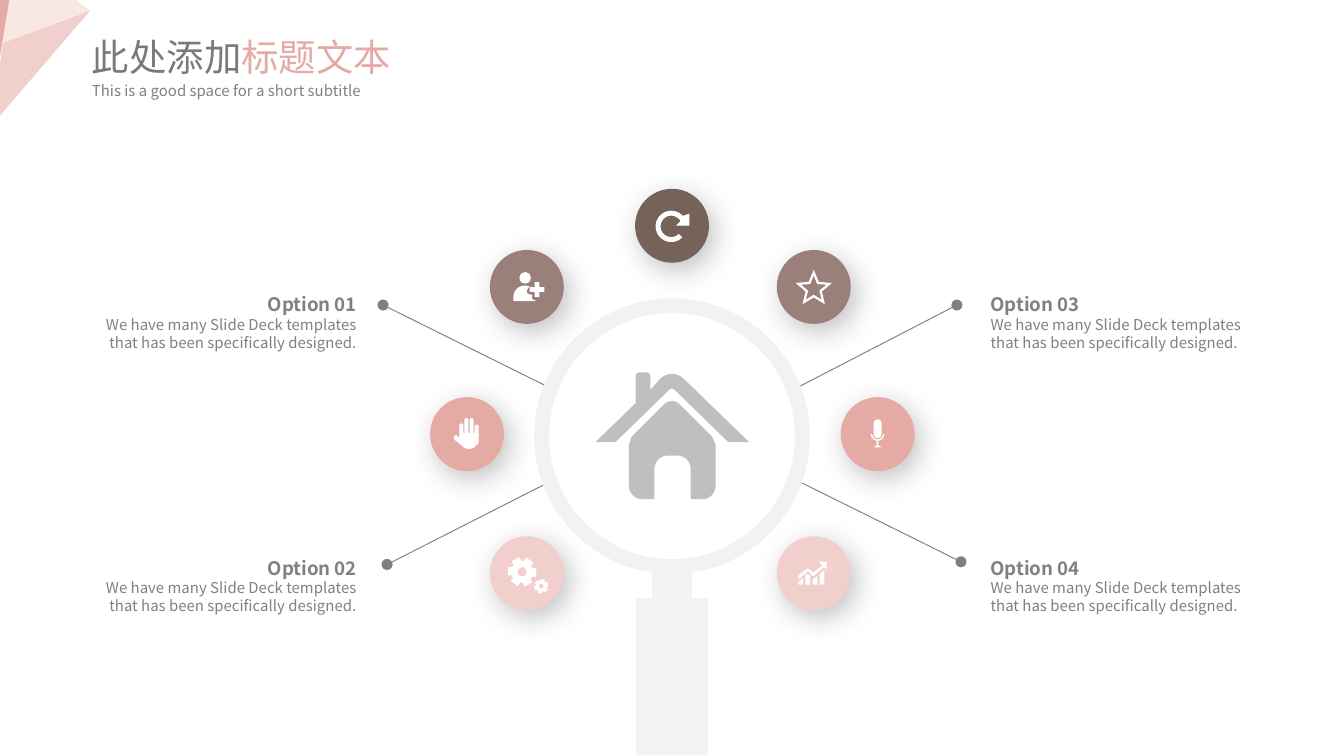
from dataclasses import dataclass
from math import cos, radians, sin
from typing import NamedTuple

from lxml.etree import SubElement
from pptx import Presentation
from pptx.dml.color import RGBColor
from pptx.enum.shapes import MSO_CONNECTOR as Line, MSO_SHAPE as Preset
from pptx.enum.text import MSO_AUTO_SIZE as Fit, PP_ALIGN as Align
from pptx.oxml.ns import qn
from pptx.util import Emu, Pt

Point = tuple[float, float]
Contour = list[Point]


@dataclass(frozen=True)
class Theme:
    """Colours, font and type sizes of the slide."""
    rose: str = "E5AAA4"
    blush: str = "F1CFCD"
    cream: str = "F9E7E3"
    mauve: str = "9B7F7B"
    brown: str = "756359"
    white: str = "FFFFFF"
    pale: str = "F2F2F2"
    silver: str = "BFBFBF"
    grey: str = "808080"
    title_grey: str = "7A7A7A"
    shade: str = "333333"
    font: str = "Noto Sans CJK SC"
    title: int = 20
    heading: int = 10
    body: int = 8


class Box(NamedTuple):
    """Left, top, width and height in grid columns and rows."""
    left: float
    top: float
    width: float
    height: float


class Run(NamedTuple):
    """A piece of text in one style."""
    text: str
    size: int
    colour: str
    bold: bool = False


class Badge(NamedTuple):
    """A round icon holder around the magnifier."""
    x: float
    y: float
    colour: str


class Option(NamedTuple):
    """A labelled option with its leader line from dot to ring."""
    number: str
    left: float
    top: float
    align: Align
    dot: Point
    ring: Point


THEME = Theme()
COLUMNS = 100
BADGE_SIZE = 5.5
BLURB = "We have many Slide Deck templates that has been specifically designed."

deck = Presentation()
deck.slide_width, deck.slide_height = Emu(9144000), Emu(5143500)
slide = deck.slides.add_slide(deck.slide_layouts[6])
shapes = slide.shapes
CELL = deck.slide_width // COLUMNS


def grid(*values: float) -> list[Emu]:
    """Turn grid units into slide lengths."""
    return [Emu(round(value * CELL)) for value in values]


def paint(shape, colour: str) -> None:
    """Give a shape a flat fill with no line or shadow."""
    shape.shadow.inherit = False
    shape.fill.solid()
    shape.fill.fore_color.rgb = RGBColor.from_string(colour)
    shape.line.fill.background()


def preset(kind: Preset, box: Box, colour: str, adjust: float | None = None):
    """Draw a preset shape on the grid."""
    shape = shapes.add_shape(kind, *grid(*box))
    if adjust is not None:
        shape.adjustments[0] = adjust
    paint(shape, colour)
    return shape


def outline(colour: str, *contours: Contour) -> None:
    """Draw closed contours as one shape; a second contour cuts a hole."""
    builder = shapes.build_freeform(*grid(*contours[0][0]))
    for index, contour in enumerate(contours):
        if index:
            builder.move_to(*grid(*contour[0]))
        builder.add_line_segments([tuple(grid(*point)) for point in contour[1:]], close=True)
    paint(builder.convert_to_shape(), colour)


def polar(x: float, y: float, radius: float, angle: float) -> Point:
    """Find a point at a clockwise angle from the right."""
    return x + radius * cos(radians(angle)), y + radius * sin(radians(angle))


def arc(x: float, y: float, radius: float, start: float, end: float, steps: int = 16) -> Contour:
    """List points along a circular arc."""
    return [polar(x, y, radius, start + (end - start) * i / steps) for i in range(steps + 1)]


def star(x: float, y: float, tip: float, notch: float) -> Contour:
    """List the corners of a five-pointed star."""
    return [polar(x, y, notch if i % 2 else tip, 36 * i - 90) for i in range(10)]


def gear(x: float, y: float, tip: float, turn: float) -> None:
    """Draw a six-toothed gear with a round hole."""
    tooth = ((0.74, -23), (1, -17), (1, 17), (0.74, 23))
    teeth = [polar(x, y, tip * share, turn + 60 * i + angle)
             for i in range(6) for share, angle in tooth]
    outline(THEME.white, teeth, arc(x, y, tip * 0.31, 0, 360))


def badge(item: Badge) -> None:
    """Draw a circle with a soft shadow."""
    box = Box(item.x - BADGE_SIZE / 2, item.y - BADGE_SIZE / 2, BADGE_SIZE, BADGE_SIZE)
    circle = preset(Preset.OVAL, box, item.colour)
    effects = circle._element.spPr.find(qn("a:effectLst"))
    shadow = SubElement(effects, qn("a:outerShdw"), blurRad=str(Pt(15)), dist=str(Pt(5)),
                        dir=str(55 * 60000), algn="tl", rotWithShape="0")
    shade = SubElement(shadow, qn("a:srgbClr"), val=THEME.shade)
    SubElement(shade, qn("a:alpha"), val="30000")


def leader(dot: Point, ring: Point) -> None:
    """Draw a thin line that starts with a dot."""
    line = shapes.add_connector(Line.STRAIGHT, *grid(*dot, *ring))
    line.line.color.rgb = RGBColor.from_string(THEME.grey)
    line.line.width = Pt(0.5)
    SubElement(line.line._get_or_add_ln(), qn("a:headEnd"), type="oval")
    SubElement(line._element.spPr, qn("a:effectLst"))


def write(box: Box, paragraphs: list[list[Run]], align: Align = Align.LEFT,
          wrap: bool = False) -> None:
    """Write paragraphs run by run; wrapped text has no insets."""
    frame = shapes.add_textbox(*grid(*box)).text_frame
    frame.word_wrap = wrap
    frame.auto_size = Fit.SHAPE_TO_FIT_TEXT
    if wrap:
        frame.margin_left = frame.margin_right = frame.margin_top = frame.margin_bottom = 0
    for index, runs in enumerate(paragraphs):
        paragraph = frame.add_paragraph() if index else frame.paragraphs[0]
        paragraph.alignment = align
        for text, size, colour, bold in runs:
            run = paragraph.add_run()
            run.text = text
            run.font.name, run.font.size, run.font.bold = THEME.font, Pt(size), bold
            run.font.color.rgb = RGBColor.from_string(colour)
            SubElement(run._r.get_or_add_rPr(), qn("a:ea"), typeface=THEME.font)


options = [
    Option("01", 6.05, 21.8, Align.RIGHT, (28.5, 22.7), (40.8, 28.8)),
    Option("02", 6.05, 41.4, Align.RIGHT, (28.8, 42), (41, 35.8)),
    Option("03", 73.7, 21.8, Align.LEFT, (71.2, 22.7), (59.4, 28.8)),
    Option("04", 73.7, 41.4, Align.LEFT, (71.5, 41.8), (59.4, 35.8)),
]
badges = [
    Badge(50, 16.8, THEME.brown),
    Badge(39.2, 21.35, THEME.mauve), Badge(60.55, 21.35, THEME.mauve),
    Badge(34.75, 32.3, THEME.rose), Badge(65.3, 32.3, THEME.rose),
    Badge(39.2, 42.65, THEME.blush), Badge(60.55, 42.65, THEME.blush),
]
for option in options:
    leader(option.dot, option.ring)
for item in badges:
    badge(item)

outline(THEME.white, arc(49.95, 16.85, 1.17, 45, 318)
        + [(51.3, 15.9), (51.3, 16.8), (50.3, 16.8), (50.65, 16.45)]
        + arc(49.95, 16.85, 0.8, 318, 45))

outline(THEME.white, star(60.55, 21.5, 1.42, 0.64), star(60.55, 21.5, 1, 0.44))

preset(Preset.OVAL, Box(38.65, 20.25, 0.85, 0.85), THEME.white)
outline(THEME.white, [(38.2, 22.4)] + arc(39.05, 22.1, 0.85, 180, 270)
        + [(39.4, 21.3), (39.2, 21.6), (39.25, 21.85), (39.6, 21.95), (39.6, 22.25), (39.9, 22.4)])
preset(Preset.CROSS, Box(39.4, 21, 1.1, 1.1), THEME.white, 0.34)

for column, top in enumerate((31.5, 31.1, 31.1, 31.6)):
    preset(Preset.ROUNDED_RECTANGLE, Box(34.18 + 0.38 * column, top, 0.3, 1.5), THEME.white, 0.5)
outline(THEME.white, [(34.18, 32.2), (35.6, 32.2)] + arc(34.9, 32.7, 0.7, 0, 130)
        + [(33.8, 32.7), (33.75, 32.5), (33.95, 32.35), (34.18, 32.6)])

preset(Preset.ROUNDED_RECTANGLE, Box(65, 31.2, 0.6, 1.4), THEME.white, 0.5)
outline(THEME.white, arc(65.3, 32.3, 0.5, 0, 82)
        + [(65.37, 33.15), (65.6, 33.3), (65, 33.3), (65.23, 33.15)]
        + arc(65.3, 32.3, 0.5, 98, 180) + arc(65.3, 32.3, 0.4, 180, 0))

gear(38.85, 42.55, 1.1, 3)
gear(40.27, 43.62, 0.55, -17)

for column, (left_top, right_top) in enumerate(((43.3, 43), (42.7, 42.8), (43.1, 42.9), (42.7, 42.4))):
    left = 59.4 + 0.53 * column
    outline(THEME.white, [(left, 43.5), (left, left_top), (left + 0.35, right_top), (left + 0.35, 43.5)])
outline(THEME.white, [(60.9, 41.8), (61.2, 42.1), (60.5, 42.6), (60.1, 42.3), (59.4, 42.8), (59.4, 43.1),
                      (60.1, 42.5), (60.5, 42.9), (61.3, 42.2), (61.5, 42.4), (61.5, 41.8)])

outline(THEME.silver, [(46.8, 33.1), (47, 32.5)] + arc(50, 30.65, 0.8, 225, 315)
        + [(53, 32.5), (53.25, 33.1)] + arc(52.25, 36.15, 1, 0, 90) + [(51.4, 37.15)]
        + arc(50.4, 34.9, 1, 0, -90) + arc(49.7, 34.9, 1, -90, -180) + [(48.7, 37.15)]
        + arc(47.8, 36.15, 1, 90, 180))
outline(THEME.silver, [(44.3, 32.9), (47.3, 30)] + arc(47.6, 28, 0.3, 180, 270)
        + arc(48.1, 28, 0.3, 270, 360) + [(48.4, 29)] + arc(50, 29.1, 1.27, 225, 315)
        + [(55.75, 32.9), (54.2, 32.9), (50.2, 29), (50, 28.9), (49.8, 29), (45.8, 32.9)])

for option in options:
    write(Box(option.left, option.top, 20.5, 4.3),
          [[Run(f"Option {option.number}", THEME.heading, THEME.grey, True)],
           [Run(BLURB, THEME.body, THEME.grey)]], option.align, wrap=True)

preset(Preset.DONUT, Box(39.75, 22.2, 20.5, 20.5), THEME.pale, 1.1 / 20.5)
preset(Preset.RECTANGLE, Box(48.5, 42.3, 3, 3.1), THEME.pale)
preset(Preset.RECTANGLE, Box(47.35, 44.5, 5.3, 11.7), THEME.pale)

outline(THEME.blush, [(6.7, 0.8), (0.2, 3.2), (0, 4.8), (0, 8.6)])
outline(THEME.cream, [(6.7, 0.8), (5.7, 0), (0.7, 0), (0.2, 3.2)])
outline(THEME.rose, [(0.7, 0), (0, 0), (0, 4.2)])

write(Box(5.85, 2.05, 24.5, 4.4), [[Run("此处添加", THEME.title, THEME.title_grey),
                                    Run("标题文本", THEME.title, THEME.rose)]])
write(Box(5.85, 5.6, 23.1, 2.4),
      [[Run("This is a good space for a short subtitle", THEME.body, THEME.grey)]])

deck.save("out.pptx")
